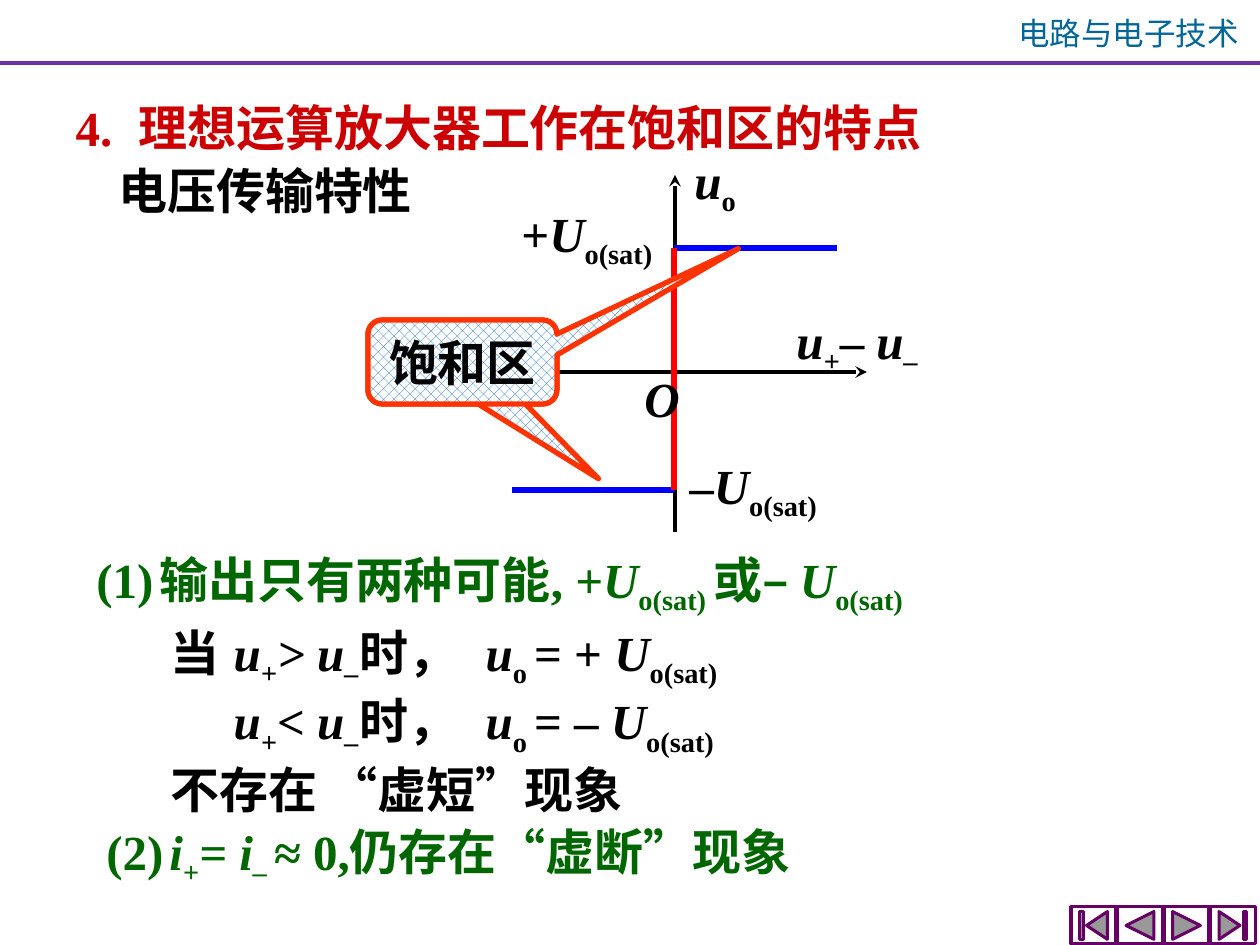
from pptx import Presentation, util as u
from pptx.dml.color import RGBColor
from pptx.enum import dml, shapes, text
from pptx.oxml.ns import qn
from lxml import etree

PX = 914400 / 126
CJK, SERIF = "Noto Sans CJK SC", "Times New Roman"
KIND = shapes.MSO_SHAPE
ALIGN = text.PP_ALIGN

# Runs split at "|"; prefixes: / italic, _ subscript, ~ italic subscript
TITLE = ((63, 91, 924, 72), "CC0000", ["4.\t理想运算放大器工作在饱和区的特点"], [73])
CASES = ((158, 616, 840, 202), "000000", [
    "当\t|/u|~+|/> u|~–|\t时，\t|/u|_o |= + |/U|_o(sat)",
    "\t|/u|~+|/< u|~–|\t时，\t|/u|_o |= – |/U|_o(sat)",
    "不存在 “虚短”现象",
], [[72, 222, 343], [49, 199, 320], []])
NOTES = [
    ((84, 543, 1092, 72), "006600",
     ["(1)\t输出只有两种可能, +|/U|_o(sat) |或– |/U|_o(sat)"], [94]),
    ((94, 815, 851, 72), "006600",
     ["(2)\t|/i|~+|/= i|~– |≈ 0,仍存在“虚断”现象"], [94]),
    ((106, 154, 441, 72), "000000", ["电压传输特性"], []),
]
LABELS = [
    ((784, 304, 220, 72), ["/u|~+|– |/u|~–"]),
    ((682, 144, 93, 72), ["/u|_o"]),
    ((677, 449, 205, 72), ["–|/U|_o(sat)"]),
    ((509, 197, 205, 72), ["+|/U|_o(sat)"]),
]
ORIGIN = ((632, 362, 61, 72), ["/O"])
RULES = [((0, y, 1260, y), "7030A0", 1.5, False) for y in (62, 64)]
CURVES = [
    ((491, 372, 867, 372), "000000", 2.25, True),
    ((675, 532, 675, 175), "000000", 2.25, True),
    ((674, 490, 512, 490), "0000FF", 3, False),
    ((837, 248, 674, 248), "0000FF", 3, False),
    ((674, 248, 674, 490), "FF0000", 3, False),
]
BUTTONS = [KIND.ACTION_BUTTON_BEGINNING, KIND.ACTION_BUTTON_BACK_OR_PREVIOUS,
           KIND.ACTION_BUTTON_FORWARD_OR_NEXT, KIND.ACTION_BUTTON_END]
BUBBLE = (368, 320, 189, 84)
TIPS = [(0.72, 1.39, 0.17), (1.46, -1.35, 0.17)]


def emu(vals):
    return [u.Emu(round(v * PX)) for v in vals]


def rgb(code):
    return RGBColor.from_string(code)


def put(obj, **vals):
    for key, val in vals.items():
        setattr(obj, key, val)


def place(shape, box):
    put(shape, **dict(zip(("left", "top", "width", "height"), emu(box))))


def add_tabs(para, stops):
    props = para._p.get_or_add_pPr()
    put_in = etree.SubElement
    props.set("marL", "0")
    props.set("indent", "0")
    put_in(props, qn("a:buNone"))
    if stops:
        tabs = put_in(props, qn("a:tabLst"))
        for pos in emu(stops):
            put_in(tabs, qn("a:tab"), pos=str(pos), algn="l")


def add_run(para, part, color, size, bold, face):
    mark = part[0] if part[0] in "/_~" else ""
    run = para.add_run()
    run.text = part[len(mark):]
    put(run.font, size=u.Pt(size), bold=bold, italic=mark in ("/", "~"), name=face)
    run.font.color.rgb = rgb(color)
    props = run._r.get_or_add_rPr()
    if mark in ("_", "~"):
        props.set("baseline", "-25000")
    etree.SubElement(props, qn("a:ea"), typeface=CJK)


def write(shape, lines, color="000000", stops=(), size=28, bold=True,
          face=SERIF, align=ALIGN.LEFT, wrap=True, anchor=text.MSO_ANCHOR.TOP,
          fit=text.MSO_AUTO_SIZE.SHAPE_TO_FIT_TEXT):
    frame = shape.text_frame
    put(frame, word_wrap=wrap, vertical_anchor=anchor, auto_size=fit)
    for i, line in enumerate(lines):
        para = frame.add_paragraph() if i else frame.paragraphs[0]
        add_tabs(para, stops[i] if len(lines) > 1 else stops)
        put(para, alignment=align, space_before=u.Pt(1 if i else 0))
        for part in line.split("|"):
            add_run(para, part, color, size, bold, face)


def add_text(box, *args, **opts):
    write(slide.shapes.add_textbox(*emu(box)), *args, **opts)


def add_line(ends, color, width, arrow):
    line = slide.shapes.add_connector(shapes.MSO_CONNECTOR.STRAIGHT, *emu(ends))
    put(line.line, width=u.Pt(width))
    line.line.color.rgb = rgb(color)
    if arrow:
        etree.SubElement(line.line._get_or_add_ln(), qn("a:tailEnd"), type="stealth")
    etree.SubElement(line._element.spPr, qn("a:effectLst"))


def add_form(kind, box, color, width):
    form = slide.shapes.add_shape(kind, *emu(box))
    form.shadow.inherit = False
    form.line.color.rgb = rgb(color)
    form.line.width = u.Pt(width)
    return form


def add_bubble(tip):
    form = add_form(KIND.ROUNDED_RECTANGULAR_CALLOUT, BUBBLE, "FF3300", 3)
    for i, val in enumerate(tip):
        form.adjustments[i] = val
    form.fill.patterned()
    form.fill.pattern = dml.MSO_PATTERN.from_xml("pct40")
    form.fill.fore_color.rgb = rgb("0563C1")
    form.fill.back_color.rgb = rgb("FFFFFF")
    return form


deck = Presentation()
put(deck, slide_width=u.Inches(10), slide_height=u.Inches(7.5))
slide = deck.slides.add_slide(deck.slide_layouts[1])

add_text((997, 8, 263, 50), ["电路与电子技术"], "006699", size=18, bold=False,
         face=CJK, align=ALIGN.CENTER)
for rule in RULES:
    add_line(*rule)
for i, kind in enumerate(BUTTONS):
    form = add_form(kind, (1071 + 46.5 * i, 907, 45, 37), "660066", 1.75)
    form.fill.solid()
    form.fill.fore_color.rgb = rgb("FFFFFF")

for shape, (box, color, lines, stops) in zip(slide.placeholders, (TITLE, CASES)):
    place(shape, box)
    write(shape, lines, color, stops)
for box, color, lines, stops in NOTES:
    add_text(box, lines, color, stops)
for box, lines in LABELS:
    add_text(box, lines)
for curve in CURVES:
    add_line(*curve)
add_bubble(TIPS[0])
add_text(*ORIGIN, wrap=False)
write(add_bubble(TIPS[1]), ["饱和区"], align=ALIGN.CENTER, wrap=False,
      anchor=text.MSO_ANCHOR.MIDDLE, fit=text.MSO_AUTO_SIZE.NONE)

deck.save("out.pptx")
